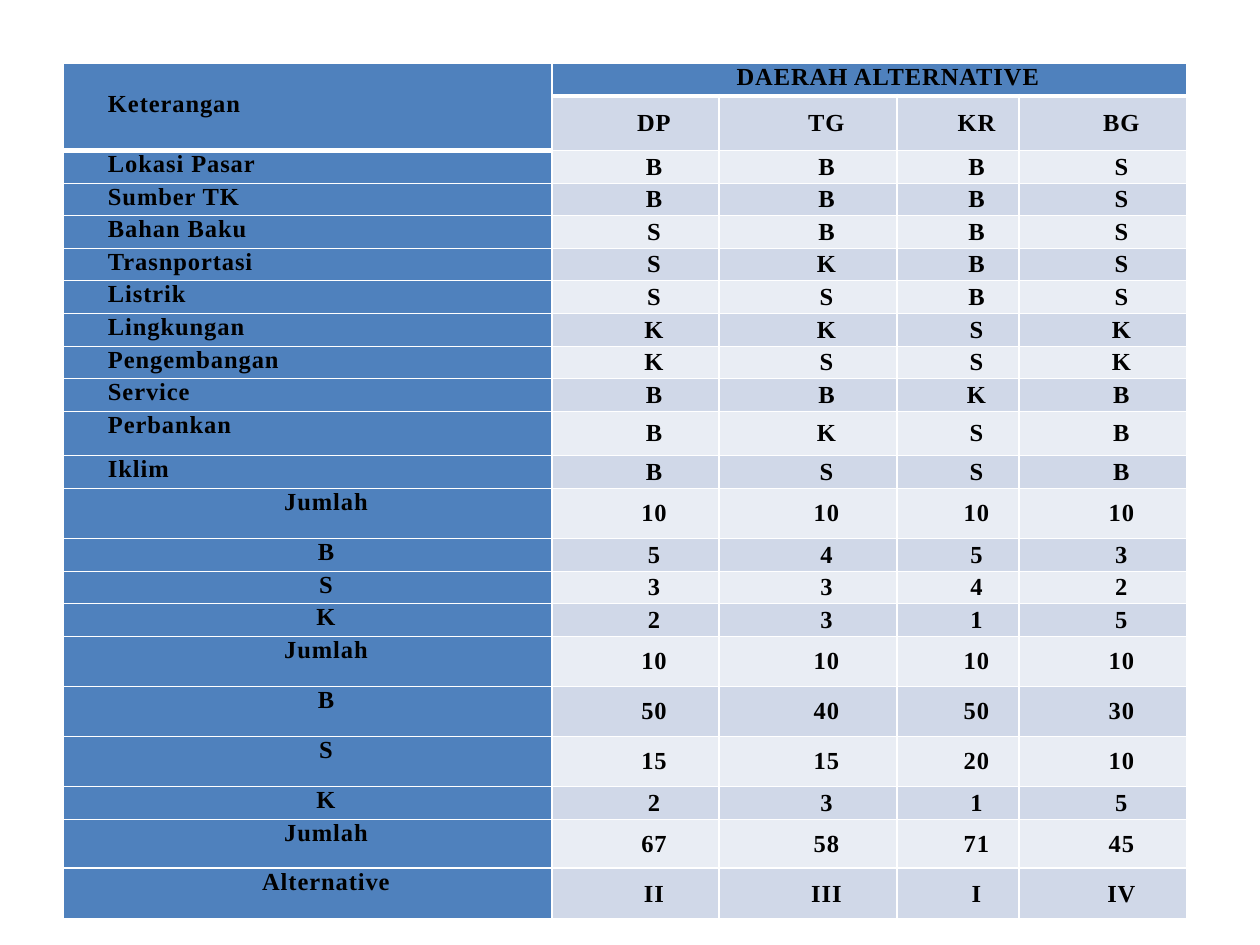
from itertools import pairwise

from lxml.etree import SubElement
from pptx import Presentation
from pptx.dml.color import RGBColor
from pptx.enum.text import MSO_ANCHOR, PP_ALIGN
from pptx.oxml.ns import qn
from pptx.util import Pt

PX = 914400 // 126
COLORS = {"label": "4F81BD", "band": "D0D8E8", "light": "E9EDF4",
          "text": "000000", "border": "FFFFFF"}
TABLE_BOX = (63, 63, 1124, 856)
COLUMN_EDGES = [0, 489, 656, 834, 956, 1124]
ROW_EDGES = [0, 33, 87, 120, 152, 185, 217, 250, 283, 315, 348, 392, 425,
             475, 508, 540, 573, 623, 673, 723, 756, 805, 856]
LINE_HEIGHT = 15.6
CELL_FORMAT = {"margin_left": 8 * PX, "margin_right": 8 * PX,
               "margin_top": 0, "margin_bottom": 0}
FONT_FORMAT = {"name": "Times New Roman", "size": Pt(14), "bold": True}
HEADER_ROWS = 2
CRITERIA = [
    ("Lokasi Pasar", "B", "B", "B", "S"),
    ("Sumber TK", "B", "B", "B", "S"),
    ("Bahan Baku", "S", "B", "B", "S"),
    ("Trasnportasi", "S", "K", "B", "S"),
    ("Listrik", "S", "S", "B", "S"),
    ("Lingkungan", "K", "K", "S", "K"),
    ("Pengembangan", "K", "S", "S", "K"),
    ("Service", "B", "B", "K", "B"),
    ("Perbankan", "B", "K", "S", "B"),
    ("Iklim", "B", "S", "S", "B"),
]
SUMMARY = [
    ("Jumlah", "10", "10", "10", "10"),
    ("B", "5", "4", "5", "3"),
    ("S", "3", "3", "4", "2"),
    ("K", "2", "3", "1", "5"),
    ("Jumlah", "10", "10", "10", "10"),
    ("B", "50", "40", "50", "30"),
    ("S", "15", "15", "20", "10"),
    ("K", "2", "3", "1", "5"),
    ("Jumlah", "67", "58", "71", "45"),
    ("Alternative", "II", "III", "I", "IV"),
]
ROWS = [("Keterangan", "DAERAH ALTERNATIVE", "", "", ""),
        ("", "DP", "TG", "KR", "BG"), *CRITERIA, *SUMMARY]


def set_attributes(target, values):
    for name, value in values.items():
        setattr(target, name, value)


def set_borders(cell, **widths):
    """Draw the left, right, top and bottom lines, 1 pt wide unless given."""
    properties = cell._tc.get_or_add_tcPr()
    for side in "LRTB":
        line = SubElement(properties, qn(f"a:ln{side}"),
                          w=str(Pt(widths.get(side, 1))))
        fill = SubElement(line, qn("a:solidFill"))
        SubElement(fill, qn("a:srgbClr"), val=COLORS["border"])


def write_text(cell, text, alignment):
    paragraph = cell.text_frame.paragraphs[0]
    paragraph.alignment = alignment
    paragraph.line_spacing = Pt(LINE_HEIGHT)
    paragraph._p.get_or_add_pPr().set("indent", str(37 * PX))
    if not text:
        paragraph.font.size = FONT_FORMAT["size"]
        return
    run = paragraph.add_run()
    run.text = text
    set_attributes(run.font, FONT_FORMAT)
    run.font.color.rgb = RGBColor.from_string(COLORS["text"])
    run._r.get_or_add_rPr().set("spc", "50")


def format_cell(cell, text, row, column):
    is_label = column == 0 or row == 0
    is_criterion = column == 0 and row < HEADER_ROWS + len(CRITERIA)
    header_bottom = HEADER_ROWS if column == 0 else 1
    widths = {"B": 3 if row < header_bottom else 1,
              "T": 3 if row == header_bottom else 1}
    fill_name = "label" if is_label else "band" if row % 2 else "light"

    set_borders(cell, **widths)
    cell.fill.solid()
    cell.fill.fore_color.rgb = RGBColor.from_string(COLORS[fill_name])
    set_attributes(cell, CELL_FORMAT)
    cell.vertical_anchor = MSO_ANCHOR.TOP if is_label else MSO_ANCHOR.MIDDLE
    write_text(cell, text,
               PP_ALIGN.JUSTIFY if is_criterion else PP_ALIGN.CENTER)


def add_score_table(slide, box):
    left, top, width, height = (length * PX for length in box)
    table = slide.shapes.add_table(len(ROWS), len(ROWS[0]),
                                   left, top, width, height).table
    for column, (start, end) in zip(table.columns, pairwise(COLUMN_EDGES)):
        column.width = (end - start) * PX
    for row, (start, end) in zip(table.rows, pairwise(ROW_EDGES)):
        row.height = (end - start) * PX
    for row, texts in enumerate(ROWS):
        for column, text in enumerate(texts):
            format_cell(table.cell(row, column), text, row, column)
    table.cell(0, 0).merge(table.cell(1, 0))
    table.cell(0, 1).merge(table.cell(0, 4))
    table.cell(0, 0).margin_top = Pt(LINE_HEIGHT)


def main():
    presentation = Presentation()
    presentation.slide_width = 1260 * PX
    presentation.slide_height = 945 * PX
    slide = presentation.slides.add_slide(presentation.slide_layouts[6])
    add_score_table(slide, TABLE_BOX)
    presentation.save("out.pptx")


if __name__ == "__main__":
    main()
